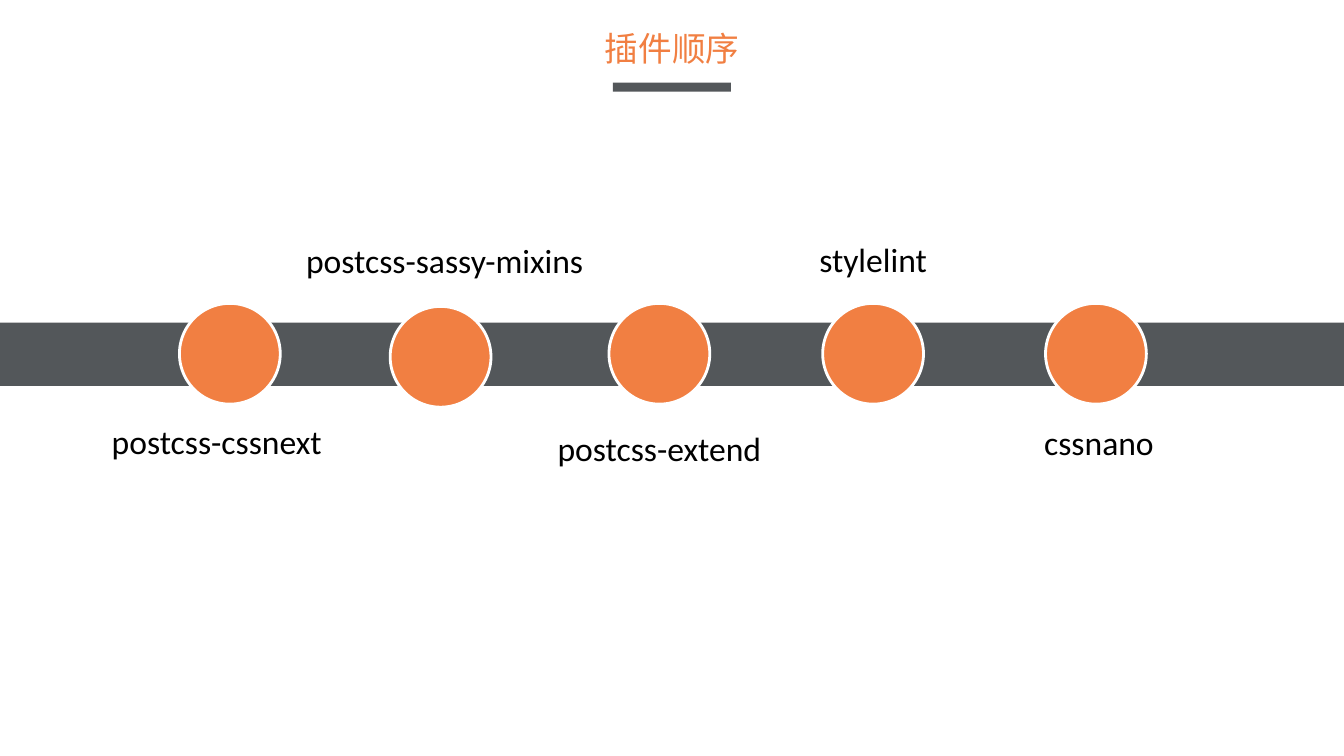
from pptx import Presentation
from pptx.dml.color import RGBColor
from pptx.enum.shapes import MSO_SHAPE
from pptx.enum.text import MSO_ANCHOR, MSO_AUTO_SIZE, PP_ALIGN
from pptx.util import Inches, Pt

ORANGE = RGBColor(0xF1, 0x7F, 0x42)
GRAY = RGBColor(0x53, 0x57, 0x5A)
WHITE = RGBColor(0xFF, 0xFF, 0xFF)
BLACK = RGBColor(0, 0, 0)
RECT, OVAL = MSO_SHAPE.RECTANGLE, MSO_SHAPE.OVAL
CENTER, TOP = PP_ALIGN.CENTER, MSO_ANCHOR.TOP
FIT_SHAPE = MSO_AUTO_SIZE.SHAPE_TO_FIT_TEXT

SLIDE_W, SLIDE_H = 13.33, 7.5
DOT = 1
LABEL_H = 0.5

prs = Presentation()
prs.slide_width, prs.slide_height = Inches(SLIDE_W), Inches(SLIDE_H)
s = prs.slides.add_slide(prs.slide_layouts[5])


def add_solid(kind, x, y, w, h, color):
    sp = s.shapes.add_shape(kind, Inches(x), Inches(y), Inches(w), Inches(h))
    sp.shadow.inherit = False
    sp.fill.solid()
    sp.fill.fore_color.rgb = color
    sp.line.fill.background()
    return sp


def write(sp, text, font, color):
    tf = sp.text_frame
    tf.word_wrap = False
    tf.auto_size = FIT_SHAPE
    tf.vertical_anchor = TOP
    p = tf.paragraphs[0]
    p.alignment = CENTER
    p.line_spacing = 1.0
    r = p.add_run()
    r.text = text
    r.font.name = font
    r.font.size = Pt(24)
    r.font.color.rgb = color


title = s.shapes.title
title_w = 1.55
title.left, title.top = Inches((SLIDE_W - title_w) / 2), Inches(0.23)
title.width, title.height = Inches(title_w), Inches(LABEL_H)
write(title, "插件顺序", "Arial", ORANGE)

rule_w = 1.17
add_solid(RECT, (SLIDE_W - rule_w) / 2, 0.82, rule_w, 0.09, GRAY)
add_solid(RECT, 0, 3.2, SLIDE_W, 0.63, GRAY)

plugins = [
    ("postcss-cssnext", 1.78, 3.01, 1, 4.13, 2.3),
    ("postcss-sassy-mixins", 3.87, 3.04, 2.92, 2.33, 2.98),
    ("postcss-extend", 6.04, 3.01, 5.42, 4.2, 2.24),
    ("stylelint", 8.16, 3.01, 8.02, 2.32, 1.28),
    ("cssnano", 10.37, 3.01, 10.25, 4.14, 1.3),
]
for name, dot_x, dot_y, label_x, label_y, label_w in plugins:
    dot = add_solid(OVAL, dot_x, dot_y, DOT, DOT, ORANGE)
    dot.line.color.rgb = WHITE
    dot.line.width = Pt(2)
    label = s.shapes.add_textbox(
        Inches(label_x), Inches(label_y), Inches(label_w), Inches(LABEL_H))
    write(label, name, "Calibri", BLACK)

prs.save("out.pptx")
